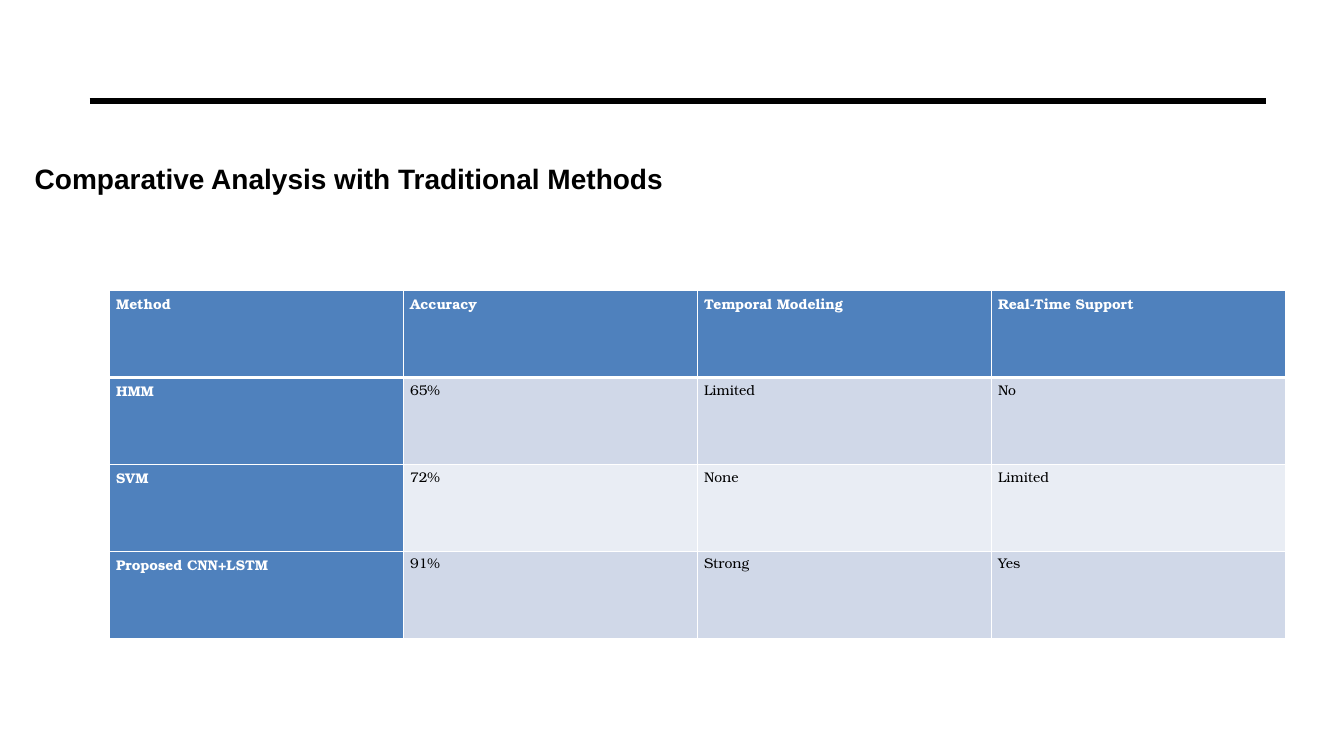
from dataclasses import dataclass

from lxml import etree
from pptx import Presentation
from pptx.dml.color import RGBColor
from pptx.enum import shapes, text
from pptx.oxml import ns
from pptx.util import Pt

TITLE = "Comparative Analysis with Traditional Methods"
METHODS = [
    ("Method", "Accuracy", "Temporal Modeling", "Real-Time Support"),
    ("HMM", "65%", "Limited", "No"),
    ("SVM", "72%", "None", "Limited"),
    ("Proposed CNN+LSTM", "91%", "Strong", "Yes"),
]


@dataclass(frozen=True)
class Theme:
    black: str = "000000"
    white: str = "FFFFFF"
    heading: str = "4F81BD"
    bands: tuple = ("E9EDF4", "D0D8E8")
    title_font: str = "Arial"
    table_font: str = "TeX Gyre Bonum"
    title_size: int = 20
    table_size: int = 10
    rule_width: float = 4.5
    border: int = 1
    header_border: int = 3


THEME = Theme()


def write(frame, content, *, font, size, color, bold, align, spacing=1.0):
    paragraph = frame.paragraphs[0]
    paragraph.alignment = align
    paragraph.line_spacing = spacing
    run = paragraph.add_run()
    run.text = content
    run.font.name = font
    run.font.size = Pt(size)
    run.font.bold = bold
    run.font.color.rgb = RGBColor.from_string(color)


def set_borders(cell, **widths):
    """Draw white cell edges, given as L, R, T and B widths in points."""
    properties = cell._tc.get_or_add_tcPr()
    for side, width in widths.items():
        line = etree.SubElement(properties, ns.qn(f"a:ln{side}"), w=str(Pt(width)))
        fill = etree.SubElement(line, ns.qn("a:solidFill"))
        etree.SubElement(fill, ns.qn("a:srgbClr"), val=THEME.white)


def add_title(slide):
    title = slide.shapes.title
    title.left, title.top, title.width, title.height = Pt(13.7), Pt(111.6), Pt(471), Pt(31.7)
    frame = title.text_frame
    frame.word_wrap = False
    frame.auto_size = text.MSO_AUTO_SIZE.NONE
    frame.vertical_anchor = text.MSO_ANCHOR.MIDDLE
    frame.margin_left = Pt(11.1)
    write(frame, TITLE, font=THEME.title_font, size=THEME.title_size,
          color=THEME.black, bold=True, align=text.PP_ALIGN.LEFT)


def add_rule(slide):
    rule = slide.shapes.add_connector(
        shapes.MSO_CONNECTOR.STRAIGHT, Pt(64), Pt(72), Pt(904), Pt(72))
    rule.line.color.rgb = RGBColor.from_string(THEME.black)
    rule.line.width = Pt(THEME.rule_width)
    etree.SubElement(rule._element.spPr, ns.qn("a:effectLst"))


def add_methods_table(slide):
    column_width, row_height = 210, 62.1
    rows, columns = len(METHODS), len(METHODS[0])
    table = slide.shapes.add_table(
        rows, columns, Pt(78), Pt(207.5),
        Pt(column_width * columns), Pt(row_height * rows)).table
    table.first_col = True
    for column in table.columns:
        column.width = Pt(column_width)
    for r, values in enumerate(METHODS):
        table.rows[r].height = Pt(row_height)
        for c, value in enumerate(values):
            cell = table.cell(r, c)
            is_heading = r == 0 or c == 0
            set_borders(cell, L=THEME.border, R=THEME.border,
                        T=THEME.header_border if r == 1 else THEME.border,
                        B=THEME.header_border if r == 0 else THEME.border)
            cell.fill.solid()
            cell.fill.fore_color.rgb = RGBColor.from_string(
                THEME.heading if is_heading else THEME.bands[r % 2])
            cell.margin_left = cell.margin_right = Pt(5)
            cell.margin_top = cell.margin_bottom = 0
            write(cell.text_frame, value, font=THEME.table_font, size=THEME.table_size,
                  color=THEME.white if is_heading else THEME.black, bold=is_heading,
                  align=text.PP_ALIGN.JUSTIFY, spacing=1.15)


def main():
    presentation = Presentation()
    presentation.slide_width, presentation.slide_height = Pt(960), Pt(540)
    title_only = presentation.slide_layouts[5]
    slide = presentation.slides.add_slide(title_only)
    add_rule(slide)
    add_methods_table(slide)
    add_title(slide)
    presentation.save("out.pptx")


if __name__ == "__main__":
    main()
